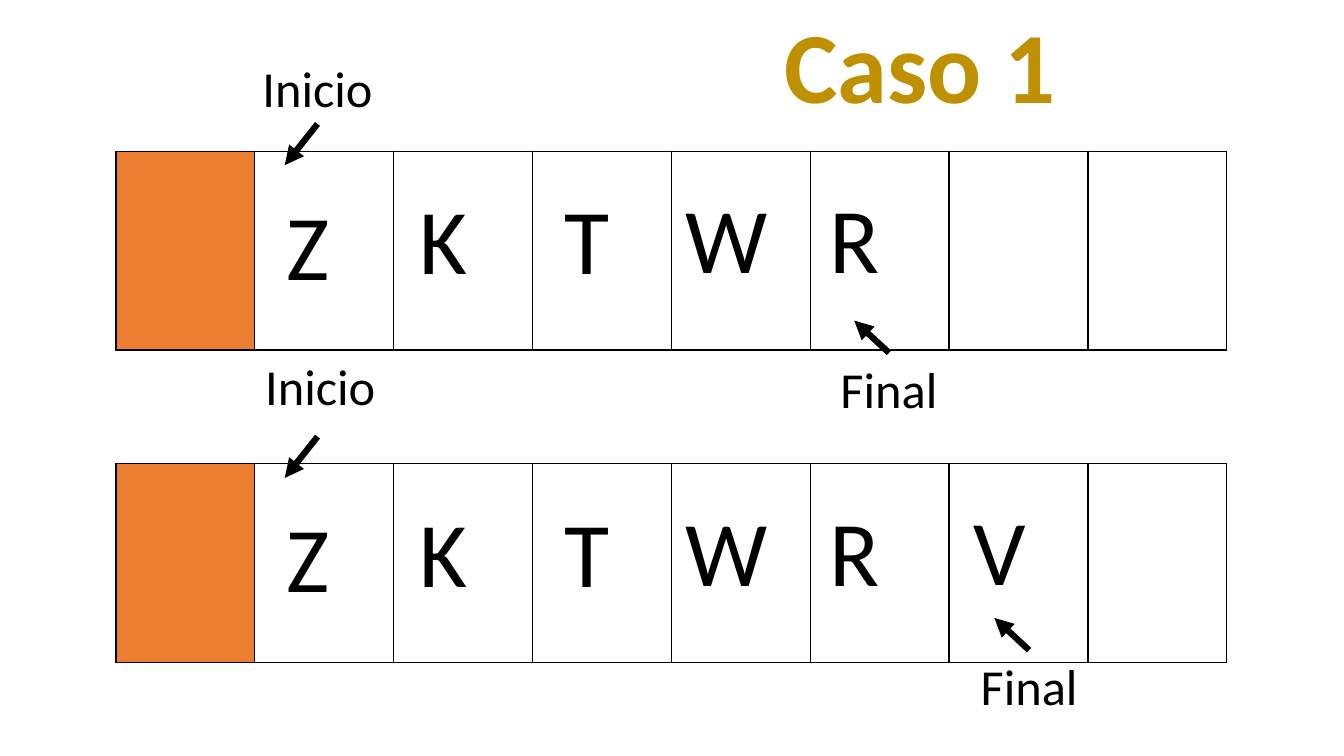
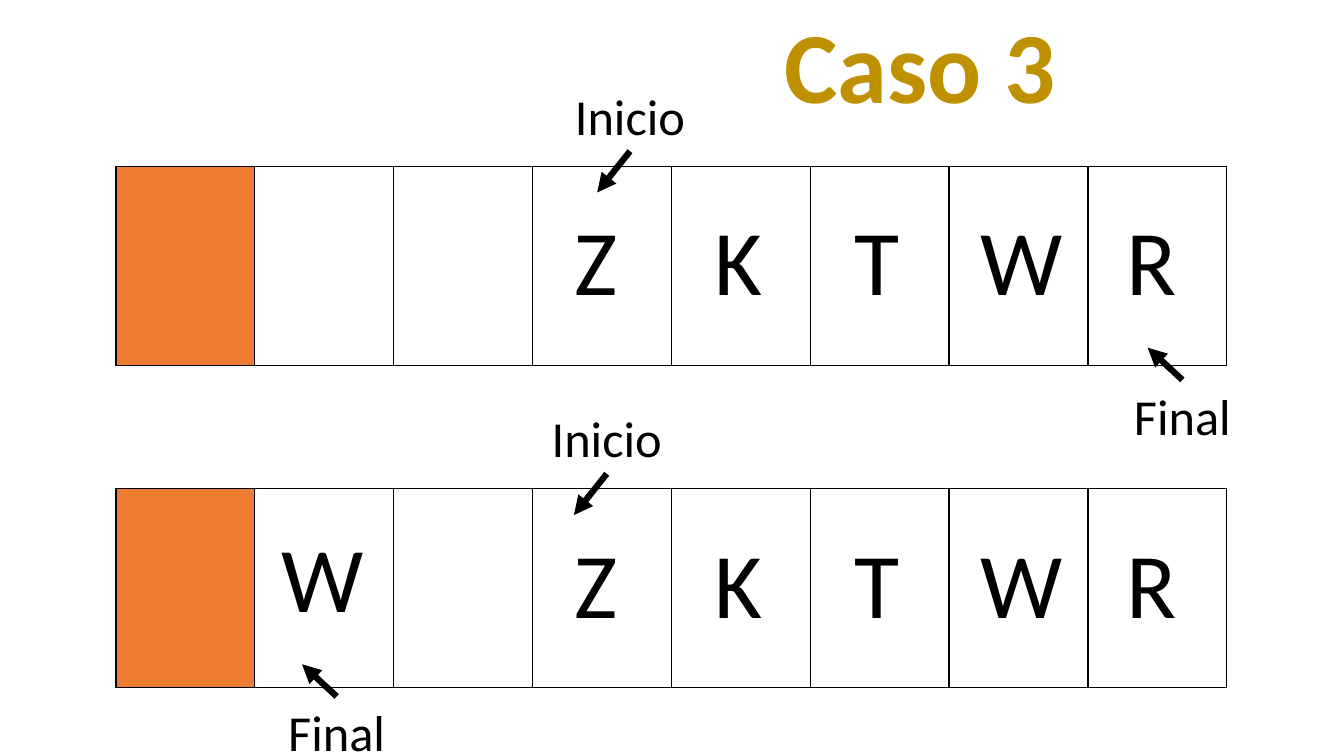
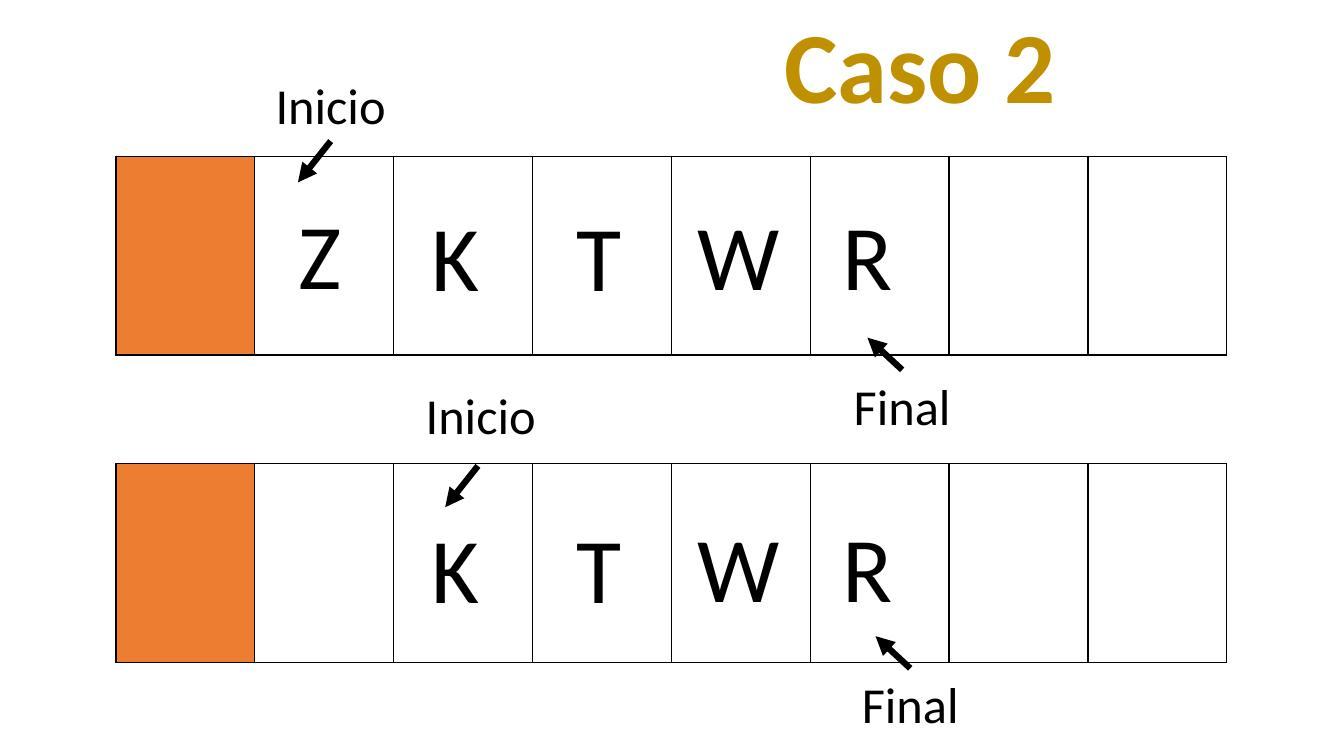
from lxml import etree
from pptx import Presentation
from pptx.dml.color import RGBColor
from pptx.enum.shapes import MSO_CONNECTOR
from pptx.enum.text import MSO_AUTO_SIZE, PP_ALIGN
from pptx.oxml.ns import qn
from pptx.util import Pt

LEFT, CENTER = PP_ALIGN.LEFT, PP_ALIGN.CENTER
GROW = MSO_AUTO_SIZE.SHAPE_TO_FIT_TEXT
STRAIGHT = MSO_CONNECTOR.STRAIGHT
TOP, BOTTOM = 0, 2

COLORS = {"ink": "000000", "gold": "BF9000", "used": "ED7D31"}
STYLES = {
    "title": {"size": Pt(72), "bold": True, "color": "gold", "align": CENTER},
    "label": {"size": Pt(36), "bold": False, "color": "ink", "align": CENTER},
    "letter": {"size": Pt(66), "bold": False, "color": "ink", "align": LEFT},
}

# Queue grid and label sizes
QUEUE_X, CELL_W, CELL_H, CELLS = 82.8, 99.2, 142, 8
LABEL_W, LABEL_H = 93.6, 51.1
LETTER_W, LETTER_H = 62, 87.2


class Deck:
    def __init__(self):
        self.prs = Presentation()
        self.prs.slide_width, self.prs.slide_height = Pt(960), Pt(540)
        self.slide = None

    def page(self):
        self.slide = self.prs.slides.add_slide(self.prs.slide_layouts[6])

    def text(self, words, style, x, y, w, h):
        box = self.slide.shapes.add_textbox(Pt(x), Pt(y), Pt(w), Pt(h))
        frame = box.text_frame
        frame.word_wrap, frame.auto_size = True, GROW
        para = frame.paragraphs[0]
        look = STYLES[style]
        para.alignment = look["align"]
        run = para.add_run()
        run.text = words
        run.font.name = "Calibri"
        for key in ("size", "bold"):
            setattr(run.font, key, look[key])
        run.font.color.rgb = RGBColor.from_string(COLORS[look["color"]])
        return box

    def title(self, words):
        self.text(words, "title", 380.2, -1.4, 553.7, 94.5)

    def arrow(self, x, y, dx, dy, box=None, side=TOP):
        line = self.slide.shapes.add_connector(
            STRAIGHT, Pt(x), Pt(y), Pt(x + dx), Pt(y + dy))
        if box is not None:
            line.begin_connect(box, side)
        line.line.width = Pt(4.5)
        line.line.color.rgb = RGBColor.from_string(COLORS["ink"])
        etree.SubElement(line.line._get_or_add_ln(), qn("a:tailEnd"), type="triangle")
        etree.SubElement(line._element.spPr, qn("a:effectLst"))

    def start(self, x, y, loose):
        """Label above the first item; a loose arrow begins below the label."""
        box = self.text("Inicio", "label", x, y, LABEL_W, LABEL_H)
        mid, low = x + LABEL_W / 2, y + LABEL_H
        if loose:
            self.arrow(mid - 2, low + 11, -23.4, 29.5)
        else:
            self.arrow(mid, low, -23.4, 29.5, box, BOTTOM)

    def end(self, x, y):
        box = self.text("Final", "label", x, y, LABEL_W, LABEL_H)
        self.arrow(x + LABEL_W / 2, y, -24.8, -23, box, TOP)

    def border(self, cell):
        props = cell._tc.get_or_add_tcPr()
        for pos, side in enumerate(("lnL", "lnR", "lnT", "lnB")):
            edge = etree.Element(qn("a:" + side), w=str(Pt(1)))
            fill = etree.SubElement(edge, qn("a:solidFill"))
            etree.SubElement(fill, qn("a:srgbClr"), val=COLORS["ink"])
            props.insert(pos, edge)

    def queue(self, y):
        table = self.slide.shapes.add_table(
            1, CELLS, Pt(QUEUE_X), Pt(y), Pt(CELL_W * CELLS), Pt(CELL_H)).table
        table.first_row = table.horz_banding = False
        for col, cell in enumerate(table.iter_cells()):
            if col == 0:
                cell.fill.solid()
                cell.fill.fore_color.rgb = RGBColor.from_string(COLORS["used"])
            else:
                cell.fill.background()
            self.border(cell)

    def letters(self, items, y):
        for char, x, dy in items:
            self.text(char, "letter", x, y + dy, LETTER_W, LETTER_H)


# Letters: character, left, offset from the row's letter line
ADD = [("Z", 197.3, 4.7), ("K", 292.3, 0.7), ("T", 396, 0.7),
       ("W", 482.4, 0), ("R", 585.4, 0), ("V", 688.3, -0.7)]
DROP = [("Z", 206.4, -0.7)] + [(c, x + 9, dy) for c, x, dy in ADD[1:5]]
WRAP = [("W", 193.7, -4.3), ("Z", 403.2, 0), ("K", 503.3, 0),
        ("T", 603.4, 0), ("W", 693.4, 0), ("R", 797.8, 0)]

# Rows: queue top, letters, letter line, start label, loose arrow, end label
CASES = [
    ("Caso 1", [
        (108, ADD[:5], 126, (180, 37.4), False, (588.2, 252)),
        (331.2, ADD, 349.2, (182, 249.8), True, (688.3, 464.4))]),
    ("Caso 3", [
        (118.8, WRAP[1:], 141.8, (403.2, 56.9), False, (797.8, 271.4)),
        (349.2, WRAP, 372.2, (386.6, 287.3), False, (193.7, 497.5))]),
    ("Caso 2", [
        (111.6, DROP, 138.2, (189.4, 49.7), False, (597.6, 264.2)),
        (331.2, DROP[1:], 360.7, (296.6, 270.7), True, (603.4, 477.4))]),
]


def main():
    deck = Deck()
    for name, rows in CASES:
        deck.page()
        for top, items, line, first, loose, last in rows:
            deck.queue(top)
            deck.letters(items, line)
            deck.start(*first, loose)
            deck.end(*last)
        deck.title(name)
    deck.prs.save("out.pptx")


if __name__ == "__main__":
    main()
